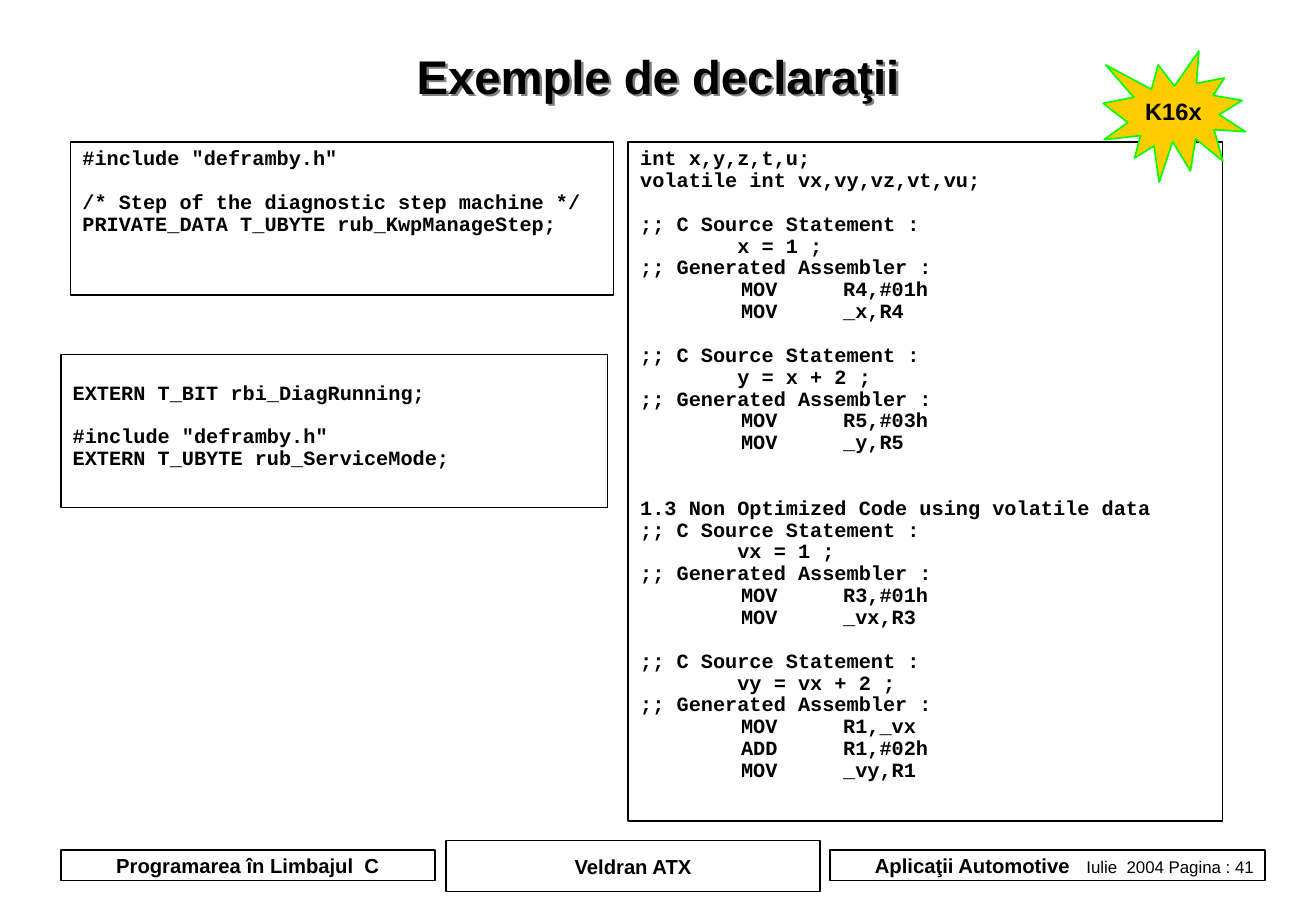
from dataclasses import dataclass

from lxml import etree
from pptx import Presentation
from pptx.dml.color import RGBColor
from pptx.enum.shapes import MSO_SHAPE
from pptx.enum.text import MSO_ANCHOR, PP_ALIGN
from pptx.oxml.ns import qn
from pptx.util import Inches, Pt

RECTANGLE, BURST = MSO_SHAPE.RECTANGLE, MSO_SHAPE.EXPLOSION1
TOP, MIDDLE = MSO_ANCHOR.TOP, MSO_ANCHOR.MIDDLE
LEFT, CENTER = PP_ALIGN.LEFT, PP_ALIGN.CENTER


@dataclass(frozen=True)
class Theme:
    """Colours, fonts and type sizes of the slide."""
    ink: RGBColor = RGBColor(0, 0, 0)
    paper: RGBColor = RGBColor(255, 255, 255)
    burst: RGBColor = RGBColor(255, 204, 0)
    burst_line: RGBColor = RGBColor(0, 255, 0)
    shadow: str = "808080"
    sans: str = "Arial"
    mono: str = "Courier New"
    title: int = 28
    badge: int = 14
    body: int = 12
    small: int = 10
    tight: float = 0.9
    code_line: float = 12.95


THEME = Theme()

DEFINITION_CODE = """#include "deframby.h"

/* Step of the diagnostic step machine */
PRIVATE_DATA T_UBYTE rub_KwpManageStep;"""

EXTERN_CODE = """
EXTERN T_BIT rbi_DiagRunning;

#include "deframby.h"
EXTERN T_UBYTE rub_ServiceMode;"""

ASSEMBLER_CODE = """int x,y,z,t,u;
volatile int vx,vy,vz,vt,vu;

;; C Source Statement :
        x = 1 ;
;; Generated Assembler :
\tMOV\tR4,#01h
\tMOV\t_x,R4

;; C Source Statement :
        y = x + 2 ;
;; Generated Assembler :
\tMOV\tR5,#03h
\tMOV\t_y,R5


1.3 Non Optimized Code using volatile data
;; C Source Statement :
        vx = 1 ;
;; Generated Assembler :
\tMOV\tR3,#01h
\tMOV\t_vx,R3

;; C Source Statement :
        vy = vx + 2 ;
;; Generated Assembler :
\tMOV\tR1,_vx
\tADD\tR1,#02h
\tMOV\t_vy,R1"""


def set_font(font, size, name=THEME.sans, bold=True):
    """Apply a typeface, size and weight in the ink colour."""
    font.name, font.size, font.bold = name, Pt(size), bold
    font.color.rgb = THEME.ink


def add_tabs(paragraph, positions):
    """Give a paragraph left tab stops, in inches."""
    tabs = etree.SubElement(paragraph._p.get_or_add_pPr(), qn("a:tabLst"))
    for position in positions:
        etree.SubElement(tabs, qn("a:tab"), pos=str(Inches(position)), algn="l")


def add_panel(slide, box, kind=RECTANGLE, fill=THEME.paper, line=THEME.ink, anchor=MIDDLE):
    """Add an outlined shape and return its text frame."""
    shape = slide.shapes.add_shape(kind, *map(Inches, box))
    shape.shadow.inherit = False
    shape.fill.solid()
    shape.fill.fore_color.rgb = fill
    shape.line.color.rgb = line
    shape.line.width = Pt(1)
    frame = shape.text_frame
    frame.vertical_anchor = anchor
    return frame


def add_label(frame, text, size, spacing=1.0):
    """Write one centred bold line in a frame."""
    frame.word_wrap = False
    paragraph = frame.paragraphs[0]
    paragraph.text = text
    paragraph.alignment = CENTER
    paragraph.line_spacing = spacing
    set_font(paragraph.font, size)


def add_title(slide, box, text):
    """Add the centred title with shadowed letters."""
    shape = slide.shapes.add_textbox(*map(Inches, box))
    shape.text_frame.vertical_anchor = MIDDLE
    add_label(shape.text_frame, text, THEME.title, THEME.tight)
    shape.text_frame.word_wrap = True
    effects = etree.SubElement(shape._element.spPr, qn("a:effectLst"))
    shadow = etree.SubElement(effects, qn("a:outerShdw"), dist=str(Pt(2)), dir="2700000")
    etree.SubElement(shadow, qn("a:srgbClr"), val=THEME.shadow)


def add_code(slide, box, code):
    """Add a code listing, turning empty lines into paragraph spacing."""
    frame = add_panel(slide, box, anchor=TOP)
    frame.word_wrap = False
    gap, paragraph = 0, None
    for line in code.splitlines():
        if not line:
            gap += 1
            continue
        if paragraph is None:
            paragraph = frame.paragraphs[0]
            frame.margin_top = Inches(0.05) + Pt(gap * THEME.code_line)
        else:
            paragraph = frame.add_paragraph()
            paragraph.space_before = Pt(gap * THEME.code_line)
        paragraph.text = line
        paragraph.alignment = LEFT
        paragraph.line_spacing = THEME.tight
        add_tabs(paragraph, (0.83, 1.67))
        set_font(paragraph.font, THEME.body, THEME.mono)
        gap = 0


def add_footer(slide, left, top):
    """Add the three footer boxes from a left edge and a top edge."""
    course = add_panel(slide, (left, top + 0.08, 3.08, 0.25))
    add_label(course, "Programarea în Limbajul  C", THEME.body)
    company = add_panel(slide, (left + 3.17, top, 3.08, 0.42))
    add_label(company, "Veldran ATX", THEME.body)
    frame = add_panel(slide, (left + 6.33, top + 0.08, 3.58, 0.25))
    frame.word_wrap = True
    frame.margin_left, frame.margin_right = Inches(0.37), 0
    paragraph = frame.paragraphs[0]
    paragraph.alignment = LEFT
    add_tabs(paragraph, (1.74,))
    for text, size, bold in (("Aplicaţii Automotive\t", THEME.body, True),
                             ("Iulie  2004 Pagina : 41", THEME.small, False)):
        run = paragraph.add_run()
        run.text = text
        set_font(run.font, size, bold=bold)


def main():
    """Build and save the slide."""
    presentation = Presentation()
    presentation.slide_width, presentation.slide_height = Inches(10.83), Inches(7.5)
    slide = presentation.slides.add_slide(presentation.slide_layouts[6])
    add_footer(slide, 0.5, 6.92)
    add_title(slide, (0.6, 0.35, 9.63, 0.6), "Exemple de declaraţii")
    add_code(slide, (0.58, 1.17, 4.47, 1.26), DEFINITION_CODE)
    add_code(slide, (0.5, 2.92, 4.5, 1.26), EXTERN_CODE)
    add_code(slide, (5.17, 1.17, 4.89, 5.59), ASSEMBLER_CODE)
    badge = add_panel(slide, (9.08, 0.42, 1.17, 1.08), BURST, THEME.burst, THEME.burst_line)
    add_label(badge, "K16x", THEME.badge, THEME.tight)
    presentation.save("out.pptx")


if __name__ == "__main__":
    main()
